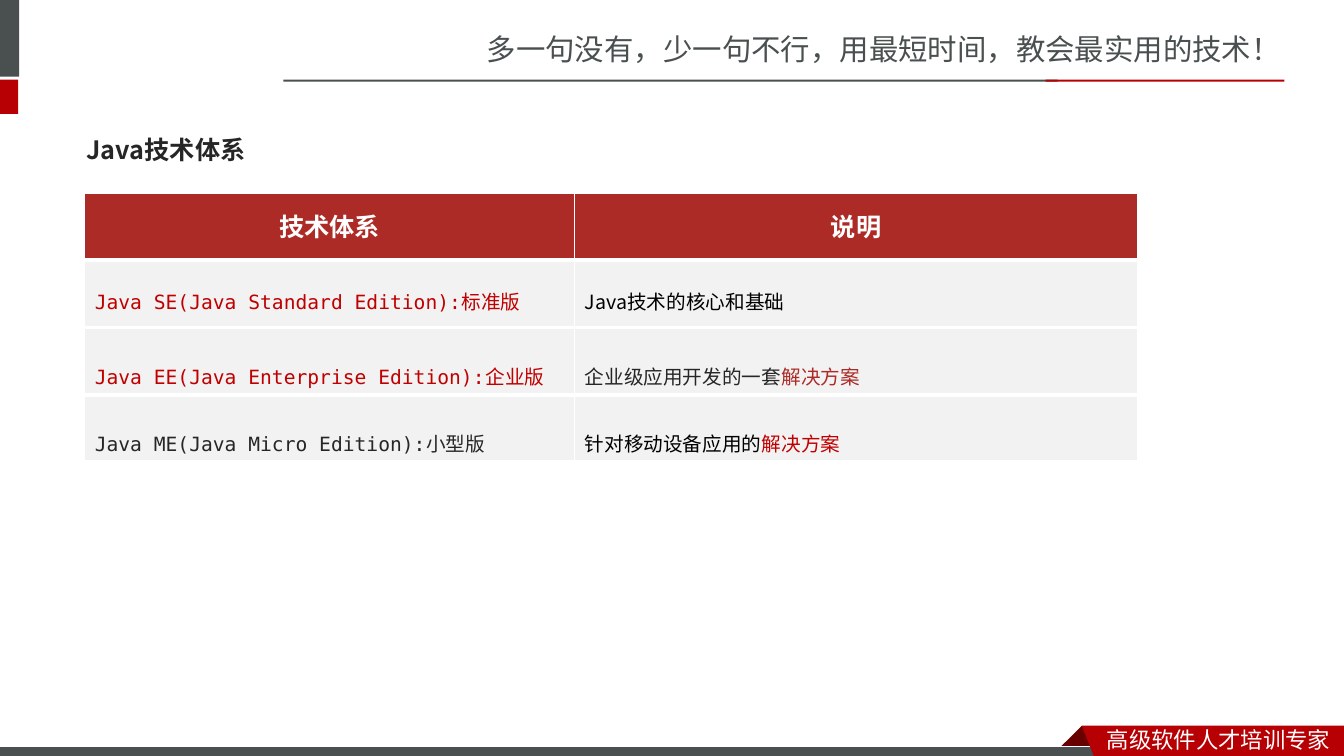
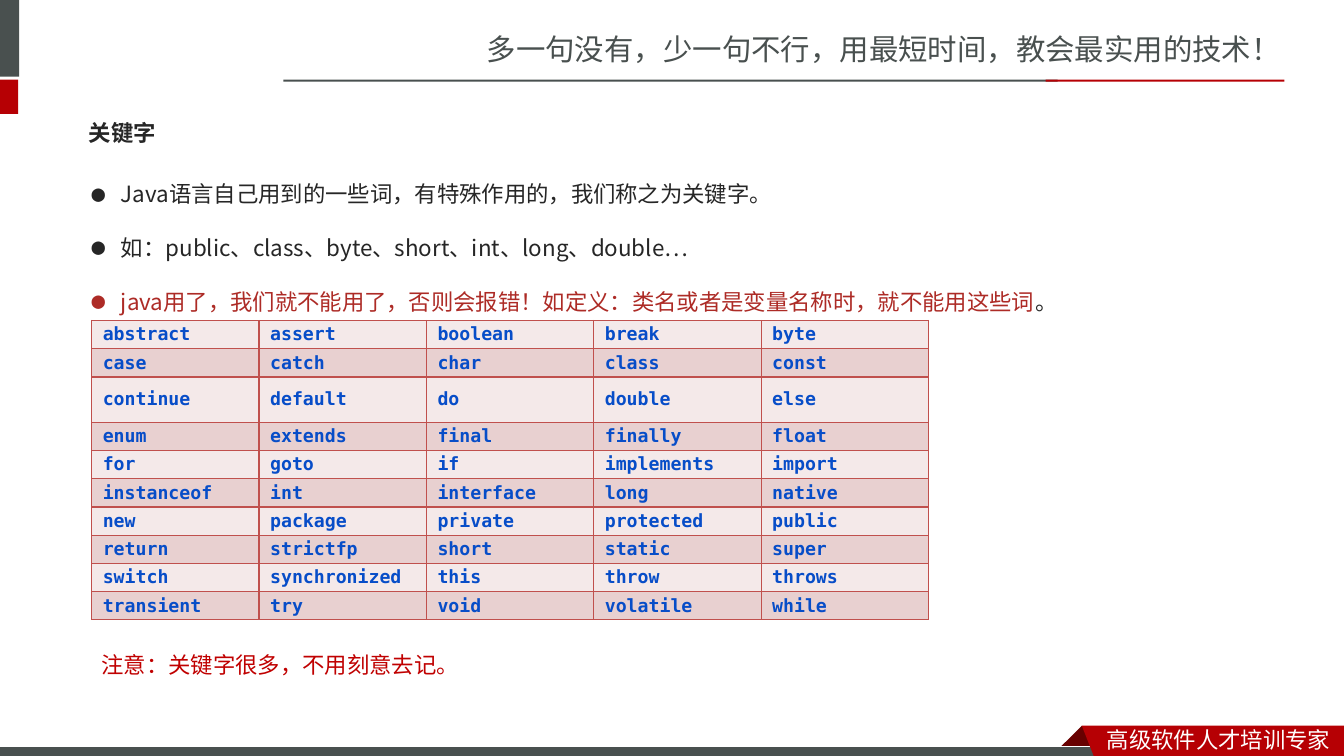
from dataclasses import dataclass

from lxml import etree
from pptx import Presentation
from pptx.dml.color import RGBColor
from pptx.enum.shapes import MSO_SHAPE
from pptx.enum.text import MSO_ANCHOR, MSO_AUTO_SIZE, PP_ALIGN
from pptx.oxml.ns import qn
from pptx.util import Inches, Pt

RECT = MSO_SHAPE.RECTANGLE
TOP, MIDDLE = MSO_ANCHOR.TOP, MSO_ANCHOR.MIDDLE
FIXED, GROW = MSO_AUTO_SIZE.NONE, MSO_AUTO_SIZE.SHAPE_TO_FIT_TEXT
LEFT, CENTER = PP_ALIGN.LEFT, PP_ALIGN.CENTER

COLORS = {
    "white": "FFFFFF", "black": "000000", "slate": "49504F", "ink": "262626",
    "red": "B60004", "fold": "680000", "brick": "AD2B26", "alert": "C00000",
    "gray": "F2F2F2", "light": "F4E9E9", "rose": "E8D0D0", "grid": "C0504D",
    "code": "074DC8",
}
SANS, HEAN, LATO, MONO = (
    "Noto Sans CJK SC", "Noto Sans CJK JP", "Lato", "DejaVu Sans Mono")

Box = tuple[float, float, float, float]
Edges = dict[str, tuple[str, float]]


@dataclass(frozen=True)
class Run:
    text: str
    color: str = "ink"
    size: float = 16
    font: str = HEAN
    bold: bool = False


@dataclass(frozen=True)
class Cell:
    runs: tuple[Run, ...]
    fill: str
    edges: Edges
    align: PP_ALIGN = LEFT
    space: float | Pt = 1.0


@dataclass(frozen=True)
class Bar:
    box: Box
    color: str
    line: bool = False


@dataclass(frozen=True)
class Patch:
    points: tuple[tuple[float, float], ...]
    color: str


DECOR = (
    Bar((-0.06, 0, 0.25, 0.76), "slate"),
    Bar((-0.06, 0.79, 0.24, 0.34), "red"),
    Bar((2.81, 0.79, 7.68, 0.02), "slate"),
    Bar((10.37, 0.79, 2.37, 0.02), "red"),
    Patch(((10.73, 7.2), (10.95, 7.42), (10.94, 7.43),
           (10.52, 7.43), (10.51, 7.42)), "fold"),
    Bar((-0.01, 7.41, 11, 0.12), "slate", True),
    Patch(((10.73, 7.2), (13.33, 7.2), (13.33, 7.54), (10.86, 7.53)), "red"),
)
SLOGAN = Run("多一句没有，少一句不行，用最短时间，教会最实用的技术！",
             "slate", 21, SANS)
MOTTO = Run("高级软件人才培训专家", "white", 16, SANS)

EDITIONS = (
    ("Java SE(Java Standard Edition):标准版", "alert", 1.5,
     (("Java技术的核心和基础", "black"),)),
    ("Java EE(Java Enterprise Edition):企业版", "alert", 2.0,
     (("企业级应用开发的一套", "ink"), ("解决方案", "brick"))),
    ("Java ME(Java Micro Edition):小型版", "ink", 2.0,
     (("针对移动设备应用的", "black"), ("解决方案", "alert"))),
)
POINTS = (
    (Run("Java语言自己用到的一些词，有特殊作用的，我们称之为关键字。"),),
    (Run("如：public、class、byte、short、int、long、double…"),),
    (Run("java用了，我们就不能用了，否则会报错！如定义：类名或者是变量名称时，"
         "就不能用这些词", "brick"), Run("。")),
)
WORDS = """
abstract assert boolean break byte
case catch char class const
continue default do double else
enum extends final finally float
for goto if implements import
instanceof int interface long native
new package private protected public
return strictfp short static super
switch synchronized this throw throws
transient try void volatile while
""".strip().splitlines()


def rgb(name: str) -> RGBColor:
    return RGBColor.from_string(COLORS[name])


def apply(target, **values) -> None:
    for name, value in values.items():
        setattr(target, name, value)


def place(shape, box: Box) -> None:
    names = ("left", "top", "width", "height")
    apply(shape, **dict(zip(names, map(Inches, box))))


def write(para, runs: tuple[Run, ...]) -> None:
    for item in runs:
        run = para.add_run()
        run.text = item.text
        apply(run.font, size=Pt(item.size), bold=item.bold, name=item.font)
        run.font.color.rgb = rgb(item.color)
        face = item.font if item.font in (SANS, HEAN) else SANS
        east = etree.Element(qn("a:ea"), typeface=face)
        run.font._element.find(qn("a:latin")).addnext(east)


def label(slide, box: Box, run: Run) -> None:
    shape = slide.shapes.add_textbox(*map(Inches, box))
    apply(shape.text_frame, word_wrap=True, auto_size=GROW)
    write(shape.text_frame.paragraphs[0], (run,))


def paint(shape, color: str, line: bool) -> None:
    shape.shadow.inherit = False
    shape.fill.solid()
    shape.fill.fore_color.rgb = rgb(color)
    if line:
        shape.line.color.rgb = rgb("white")
        shape.line.width = Pt(0.75)
    else:
        shape.line.fill.background()


def frame(deck, slide) -> None:
    """Draw the shared bands on a slide, then move them to the master."""
    label(slide, (4.73, 0.26, 8.2, 0.45), SLOGAN)
    for item in DECOR:
        if isinstance(item, Bar):
            shape = slide.shapes.add_shape(RECT, *map(Inches, item.box))
            paint(shape, item.color, item.line)
        else:
            start, *rest = [tuple(map(Inches, p)) for p in item.points]
            pen = slide.shapes.build_freeform(*start)
            pen.add_line_segments(rest, close=True)
            paint(pen.convert_to_shape(), item.color, False)
    label(slide, (10.88, 7.15, 2.45, 0.37), MOTTO)
    tree = deck.slide_master.shapes.element
    parts = [s for s in slide.shapes if not s.is_placeholder]
    for num, shape in enumerate(parts, 100):
        shape.element.nvSpPr.cNvPr.set("id", str(num))
        tree.append(shape.element)


def head(slide, box: Box, run: Run) -> None:
    title = slide.shapes.title
    place(title, box)
    apply(title.text_frame, word_wrap=True, auto_size=FIXED,
          vertical_anchor=MIDDLE)
    para = title.text_frame.paragraphs[0]
    para.alignment = LEFT
    write(para, (run,))


def bullets(shape, box: Box) -> None:
    place(shape, box)
    text = shape.text_frame
    apply(text, word_wrap=True, auto_size=GROW, vertical_anchor=TOP)
    for num, runs in enumerate(POINTS):
        para = text.add_paragraph() if num else text.paragraphs[0]
        props = para._p.get_or_add_pPr()
        indent = Inches(0.29)
        props.set("marL", str(indent))
        props.set("indent", str(-indent))
        etree.SubElement(props, qn("a:buFont"), typeface=MONO)
        etree.SubElement(props, qn("a:buChar"), char="●")
        apply(para, line_spacing=Pt(38.4), space_before=Pt(0), alignment=LEFT)
        write(para, runs)


def border(cell, edges: Edges) -> None:
    props = cell._tc.get_or_add_tcPr()
    for side, (color, width) in edges.items():
        line = etree.SubElement(props, qn(f"a:ln{side}"), w=str(Pt(width)))
        fill = etree.SubElement(line, qn("a:solidFill"))
        etree.SubElement(fill, qn("a:srgbClr"), val=COLORS[color])


def grid(slide, spot: tuple[float, float], cols: list[float],
         rows: list[float], cells: list[list[Cell]],
         pad: tuple[float, float]) -> None:
    size = (sum(cols), sum(rows))
    table = slide.shapes.add_table(
        len(rows), len(cols), *map(Inches, spot + size)).table
    apply(table, first_row=False, horz_banding=False)
    for col, width in zip(table.columns, cols):
        col.width = Inches(width)
    side, edge = map(Inches, pad)
    for row, height, items in zip(table.rows, rows, cells):
        row.height = Inches(height)
        for cell, item in zip(row.cells, items):
            apply(cell, margin_left=side, margin_right=side, margin_top=edge,
                  margin_bottom=edge, vertical_anchor=MIDDLE)
            border(cell, item.edges)
            cell.fill.solid()
            cell.fill.fore_color.rgb = rgb(item.fill)
            para = cell.text_frame.paragraphs[0]
            apply(para, alignment=item.align, line_spacing=item.space)
            write(para, item.runs)


def systems(slide) -> None:
    head(slide, (0.76, 1.2, 2.74, 0.57), Run("Java技术体系", size=18, bold=True))
    thin, thick = ("white", 1), ("white", 3)
    top = {"L": thin, "R": thin, "T": thin, "B": thick}
    body = top | {"T": thick}
    cells = [[Cell((Run(text, "white", 18, LATO, True),), "brick", top,
                   CENTER, Pt(24)) for text in ("技术体系", "说明")]]
    for name, color, space, note in EDITIONS:
        pair = ((Run(name, color, 14, MONO),),
                tuple(Run(text, tint, 14, SANS) for text, tint in note))
        cells.append([Cell(runs, "gray", body, space=space) for runs in pair])
    grid(slide, (0.84, 1.92), [4.86, 5.58], [0.66, 0.67, 0.67, 0.63],
         cells, (0.1, 0.05))


def keywords(slide) -> None:
    head(slide, (0.78, 1.03, 11.76, 0.57), Run("关键字", bold=True))
    bullets(slide.placeholders[1], (0.81, 1.47, 11.76, 1.65))
    edges = {side: ("grid", 1) for side in "LRTB"}
    cells = [[Cell((Run(word, "code", 13, MONO, True),),
                   "rose" if num % 2 else "light", edges)
              for word in line.split()] for num, line in enumerate(WORDS)]
    rows = [0.45 if num == 2 else 0.28 for num in range(len(WORDS))]
    grid(slide, (0.91, 3.18), [1.66] * 5, rows, cells, (0.11, 0.02))
    label(slide, (0.91, 6.41, 6.7, 0.37),
          Run("注意：关键字很多，不用刻意去记。", "alert"))


def main() -> None:
    deck = Presentation()
    apply(deck, slide_width=Inches(13.33), slide_height=Inches(7.5))
    first = deck.slides.add_slide(deck.slide_layouts[5])
    frame(deck, first)
    systems(first)
    keywords(deck.slides.add_slide(deck.slide_layouts[1]))
    deck.save("out.pptx")


if __name__ == "__main__":
    main()
